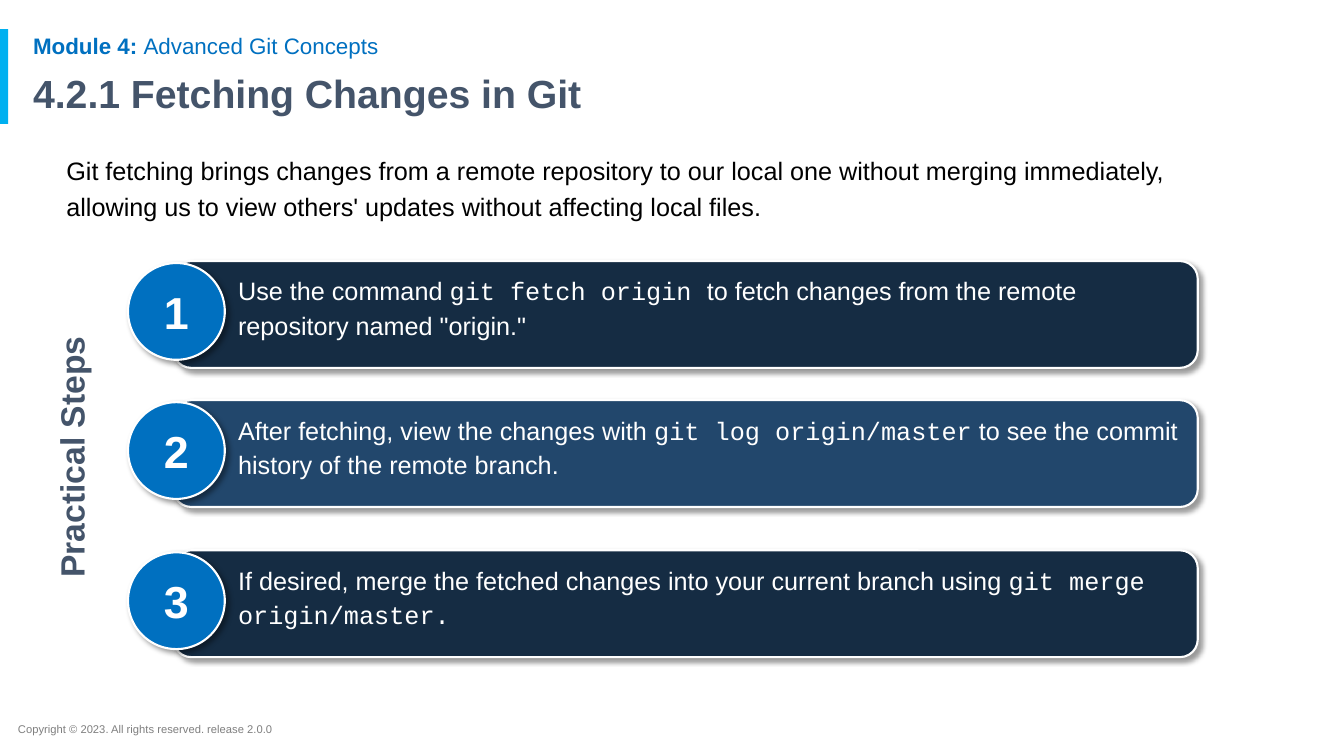
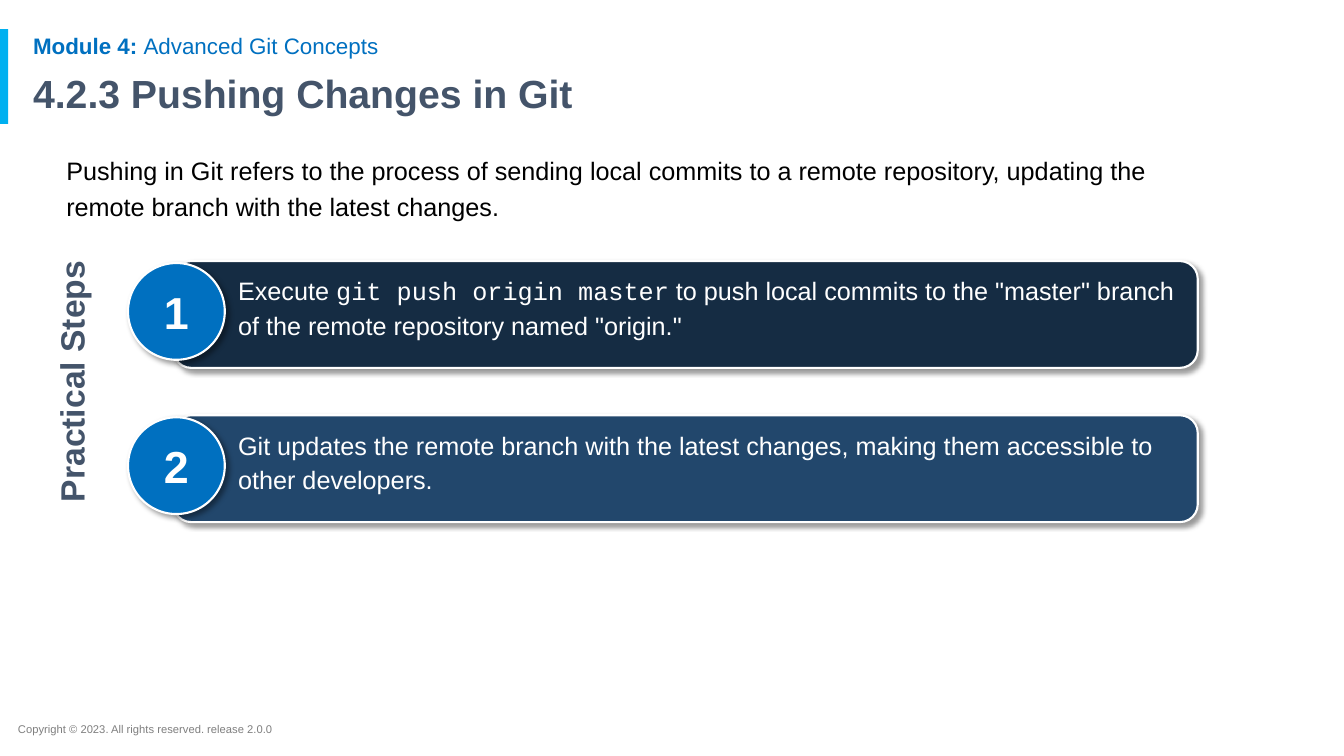
"""Build two Git lesson slides with numbered practical steps."""
import pptx
import pptx.dml.color
import pptx.enum.shapes
import pptx.enum.text
import pptx.oxml
import pptx.oxml.ns
import pptx.util

LESSONS = [
    {
        "title": "4.2.1 Fetching Changes in Git",
        "intro": "Git fetching brings changes from a remote repository to our local one "
                 "without merging immediately, allowing us to view others' updates "
                 "without affecting local files.",
        "label_middle": 4.51,
        "steps": [
            (2.59, "Use the command `git fetch origin `to fetch changes from the remote "
                   "repository named \"origin.\""),
            (3.97, "After fetching, view the changes with `git log origin/master` to see "
                   "the commit history of the remote branch."),
            (5.46, "If desired, merge the fetched changes into your current branch using "
                   "`git merge origin/master.`"),
        ],
    },
    {
        "title": "4.2.3 Pushing Changes in Git",
        "intro": "Pushing in Git refers to the process of sending local commits to a remote "
                 "repository, updating the remote branch with the latest changes.",
        "label_middle": 3.76,
        "steps": [
            (2.59, "Execute `git push origin master` to push local commits to the "
                   "\"master\" branch of the remote repository named \"origin.\""),
            (4.12, "Git updates the remote branch with the latest changes, making them "
                   "accessible to other developers."),
        ],
    },
]
MODULE = ("Module 4: ", "Advanced Git Concepts")
LABEL = "Practical Steps"
FOOTER = "Copyright © 2023. All rights reserved. release 2.0.0"

COLORS = {
    "accent": "00B0F0", "blue": "0070C0", "slate": "44546A", "navy": "152C43",
    "steel": "22476C", "gray": "7F7F7F", "black": "000000", "white": "FFFFFF",
}
BAR_FILLS = ("navy", "steel")
TEXT_FONT, CODE_FONT = "Arial", "Courier New"
INSETS = (0.1, 0.05, 0.1, 0.05)
HEADER_LEFT, HEADER_WIDTH = 0.23, 11.5
BAR_LEFT, BAR_WIDTH, BAR_HEIGHT = 1.72, 10.16, 1.06
CIRCLE_SIZE, CIRCLE_DROP = 0.96, 0.02
LABEL_CENTER, LABEL_WIDTH, LABEL_HEIGHT = 0.72, 2.7, 0.69

SHADOW_XML = (
    f'<a:outerShdw {pptx.oxml.ns.nsdecls("a")} blurRad="{pptx.util.Pt(4)}" '
    f'dist="{pptx.util.Pt(3)}" dir="2700000" algn="tl" rotWithShape="0">'
    f'<a:srgbClr val="{COLORS["black"]}"><a:alpha val="40000"/></a:srgbClr></a:outerShdw>'
)
SHAPES = pptx.enum.shapes.MSO_SHAPE
ALIGN = pptx.enum.text.PP_ALIGN
ANCHOR = pptx.enum.text.MSO_ANCHOR


def rgb(name):
    """Return the named palette colour."""
    return pptx.dml.color.RGBColor.from_string(COLORS[name])


def inches(*lengths):
    """Convert lengths in inches."""
    return [pptx.util.Inches(length) for length in lengths]


def write(shape, *spans, size=18, color="black", bold=False, spacing=1.0,
          align=ALIGN.LEFT, anchor=ANCHOR.TOP, insets=INSETS):
    """Fill a shape with one paragraph of (text, font changes) spans."""
    frame = shape.text_frame
    frame.word_wrap = True
    frame.vertical_anchor = anchor
    (frame.margin_left, frame.margin_top,
     frame.margin_right, frame.margin_bottom) = inches(*insets)
    para = frame.paragraphs[0]
    para.alignment = align
    para.line_spacing = spacing
    for text, changes in spans:
        span = para.add_run()
        span.text = text
        span.font.name = changes.get("font", TEXT_FONT)
        span.font.size = pptx.util.Pt(size)
        span.font.bold = changes.get("bold", bold)
        span.font.color.rgb = rgb(color)


def add_text(page, place, *spans, **style):
    """Add a text box at (left, top, width, height)."""
    box = page.shapes.add_textbox(*inches(*place))
    write(box, *spans, **style)
    return box


def add_shape(page, kind, place, fill, raised=False):
    """Add a filled shape, outlined and shadowed when raised."""
    shape = page.shapes.add_shape(kind, *inches(*place))
    shape.fill.solid()
    shape.fill.fore_color.rgb = rgb(fill)
    shape.shadow.inherit = False
    if raised:
        shape.line.color.rgb = rgb("white")
        shape.line.width = pptx.util.Pt(1.5)
        effects = shape.element.spPr.find(pptx.oxml.ns.qn("a:effectLst"))
        effects.append(pptx.oxml.parse_xml(SHADOW_XML))
    else:
        shape.line.fill.background()
    return shape


def code_spans(text):
    """Split text at backticks, setting every second part in the code font."""
    fonts = (TEXT_FONT, CODE_FONT)
    return [(part, {"font": fonts[index % 2]})
            for index, part in enumerate(text.split("`")) if part]


def add_frame(page, title):
    """Add the accent band, footer, module line and title."""
    add_shape(page, SHAPES.RECTANGLE, (0, 0.29, 0.08, 0.94), "accent")
    add_text(page, (0.08, 7.12, 7.13, 0.24), (FOOTER, {}), size=8, color="gray")
    add_text(page, (HEADER_LEFT, 0.3, HEADER_WIDTH, 0.33), (MODULE[0], {"bold": True}),
             (MODULE[1], {}), size=16, color="blue", spacing=0.9)
    add_text(page, (HEADER_LEFT, 0.69, HEADER_WIDTH, 0.54), (title, {}),
             size=28, color="slate", bold=True, spacing=0.9)


def add_step(page, number, top, text):
    """Add a step bar with its numbered circle on the left edge."""
    bar = add_shape(page, SHAPES.ROUNDED_RECTANGLE, (BAR_LEFT, top, BAR_WIDTH, BAR_HEIGHT),
                    BAR_FILLS[(number - 1) % len(BAR_FILLS)], raised=True)
    write(bar, *code_spans(text), color="white", spacing=1.15,
          insets=(0.59, 0.05, 0.1, 0.05))
    circle_left = BAR_LEFT + 0.03 - CIRCLE_SIZE / 2
    circle = add_shape(page, SHAPES.OVAL,
                       (circle_left, top + CIRCLE_DROP, CIRCLE_SIZE, CIRCLE_SIZE),
                       "blue", raised=True)
    write(circle, (str(number), {}), size=32, color="white", bold=True,
          align=ALIGN.CENTER, anchor=ANCHOR.MIDDLE)


def add_lesson(deck, lesson):
    """Add one lesson slide."""
    page = deck.slides.add_slide(deck.slide_layouts[6])
    add_frame(page, lesson["title"])
    add_text(page, (0.56, 1.43, 11.24, 1), (lesson["intro"], {}), spacing=1.2)
    label = add_text(page, (LABEL_CENTER - LABEL_WIDTH / 2,
                            lesson["label_middle"] - LABEL_HEIGHT / 2,
                            LABEL_WIDTH, LABEL_HEIGHT),
                     (LABEL, {}), size=24, color="slate", bold=True, insets=(0.13,) * 4)
    label.rotation = 270
    for number, (top, text) in enumerate(lesson["steps"], 1):
        add_step(page, number, top, text)


def main():
    """Create and save the deck."""
    deck = pptx.Presentation()
    deck.slide_width, deck.slide_height = inches(13.33, 7.5)
    for lesson in LESSONS:
        add_lesson(deck, lesson)
    deck.save("out.pptx")


if __name__ == "__main__":
    main()
